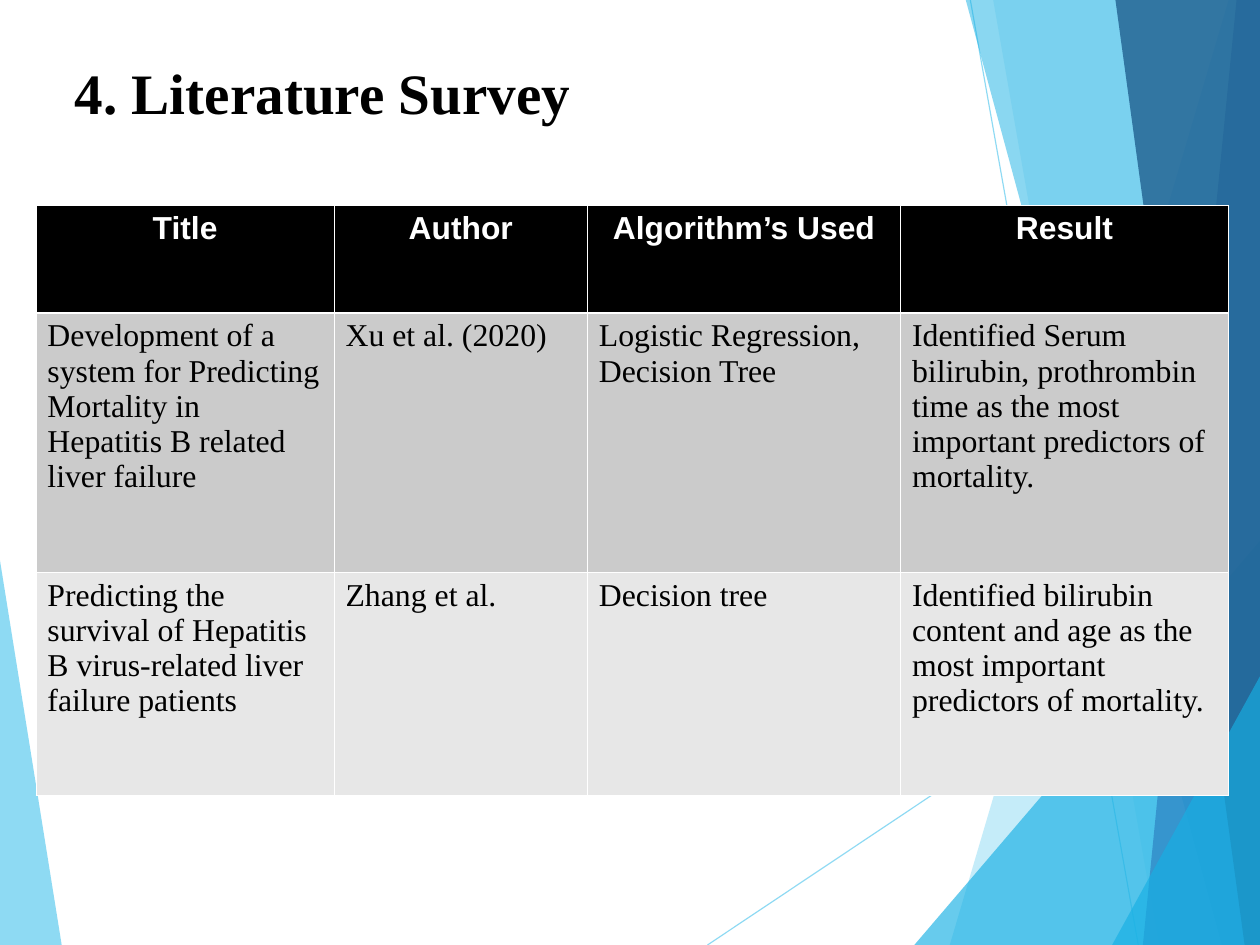
"""Build the literature survey slide with its table and faceted backdrop."""
from lxml.etree import SubElement
from pptx import Presentation
from pptx.dml.color import RGBColor
from pptx.enum.shapes import MSO_CONNECTOR
from pptx.enum.text import MSO_ANCHOR, PP_ALIGN
from pptx.oxml import parse_xml
from pptx.oxml.ns import nsdecls, qn
from pptx.util import Pt

WHITE = RGBColor(0xFF, 0xFF, 0xFF)
BLACK = RGBColor(0x00, 0x00, 0x00)
DARK_GREY = RGBColor(0xCB, 0xCB, 0xCB)
LIGHT_GREY = RGBColor(0xE7, 0xE7, 0xE7)
SKY = RGBColor(0x5F, 0xCB, 0xEF)
CYAN = RGBColor(0x17, 0xB0, 0xE4)
BLUE = RGBColor(0x2E, 0x83, 0xC3)
NAVY = RGBColor(0x23, 0x62, 0x92)
SERIF, SANS = "Times New Roman", "Arial"
W, H = 793.75, 595.25


def write(tf, text, size=20, font=SERIF, color=BLACK, bold=False, align=PP_ALIGN.LEFT):
    """Fill a text frame, one paragraph per line of text."""
    tf.word_wrap = True
    for i, line in enumerate(text.split("\n")):
        p = tf.paragraphs[0] if i == 0 else tf.add_paragraph()
        p.alignment = align
        r = p.add_run()
        r.text = line
        r.font.size, r.font.name, r.font.bold = Pt(size), font, bold
        r.font.color.rgb = color


def paint(fill, color, opacity):
    """Give a fill a solid colour with an opacity in percent."""
    fill.solid()
    fill.fore_color.rgb = color
    clr = fill._xPr.find(qn("a:solidFill"))[0]
    SubElement(clr, qn("a:alpha")).set("val", str(opacity * 1000))


prs = Presentation()
prs.slide_width, prs.slide_height = Pt(W), Pt(H)
s = prs.slides.add_slide(prs.slide_layouts[6])

rays = [
    ((445.7, H), (W, 362.8)),
    ((611.3, 0), (717.1, H)),
]
for start, end in rays:
    ray = s.shapes.add_connector(MSO_CONNECTOR.STRAIGHT, *map(Pt, start + end))
    ray.line.width = Pt(0.75)
    paint(ray.line.fill, SKY, 70)
    SubElement(ray._element.spPr, qn("a:effectLst"))

facets = [
    ([(0, 353), (38.9, H), (0, H)], SKY, 70),
    ([(774, 0), (598.3, H), (W, H), (W, 0)], SKY, 36),
    ([(625.7, 0), (730.1, H), (W, H), (W, 0)], SKY, 20),
    ([(576, H), (W, 340.6), (W, H)], CYAN, 65),
    ([(608.4, 0), (769.7, H), (W, H), (W, 0)], CYAN, 50),
    ([(779, 0), (720, H), (W, H), (W, 0)], BLUE, 70),
    ([(702.7, 0), (784.1, H), (W, H), (W, 0)], NAVY, 82),
    ([(700.6, H), (W, 426), (W, H)], CYAN, 65),
]
for points, color, opacity in facets:
    corners = [(Pt(x), Pt(y)) for x, y in points]
    fb = s.shapes.build_freeform(*corners[0])
    fb.add_line_segments(corners[1:], close=True)
    sp = fb.convert_to_shape()
    sp.shadow.inherit = False
    sp.line.fill.background()
    paint(sp.fill, color, opacity)

title = s.shapes.add_textbox(Pt(40), Pt(32.4), Pt(550.8), Pt(79.9))
title.text_frame.vertical_anchor = MSO_ANCHOR.TOP
write(title.text_frame, "4. Literature Survey", size=36, bold=True)

rows = [
    ("Title", "Author", "Algorithm’s Used", "Result"),
    ("Development of a system for Predicting Mortality in Hepatitis B related liver failure",
     "Xu et al. (2020)",
     "Logistic Regression,\nDecision Tree",
     "Identified Serum bilirubin, prothrombin time as the most important predictors of mortality."),
    ("Predicting the survival of Hepatitis B virus-related liver failure patients",
     "Zhang et al.",
     "Decision tree",
     "Identified bilirubin content and age as the most important predictors of mortality."),
]
col_widths = [187.8, 159.6, 197.3, 206.5]
row_heights = [67.7, 163.4, 140.4]
row_fills = [BLACK, DARK_GREY, LIGHT_GREY]
header = dict(font=SANS, color=WHITE, bold=True, align=PP_ALIGN.CENTER)

frame = s.shapes.add_table(len(rows), len(col_widths), Pt(22.7), Pt(129.3),
                           Pt(sum(col_widths)), Pt(sum(row_heights)))
table = frame.table
table.first_row = table.horz_banding = False
for col, width in zip(table.columns, col_widths):
    col.width = Pt(width)
for i, (texts, height, color) in enumerate(zip(rows, row_heights, row_fills)):
    table.rows[i].height = Pt(height)
    for j, text in enumerate(texts):
        cell = table.cell(i, j)
        tcPr = cell._tc.get_or_add_tcPr()
        for side in "LRTB":
            thick = (i, side) in ((0, "B"), (1, "T"))
            tcPr.append(parse_xml(
                f'<a:ln{side} {nsdecls("a")} w="{Pt(1.47 if thick else 0.45)}"><a:solidFill>'
                f'<a:srgbClr val="{WHITE}"/></a:solidFill></a:ln{side}>'))
        cell.fill.solid()
        cell.fill.fore_color.rgb = color
        write(cell.text_frame, text, **(header if i == 0 else {}))

prs.save("out.pptx")
